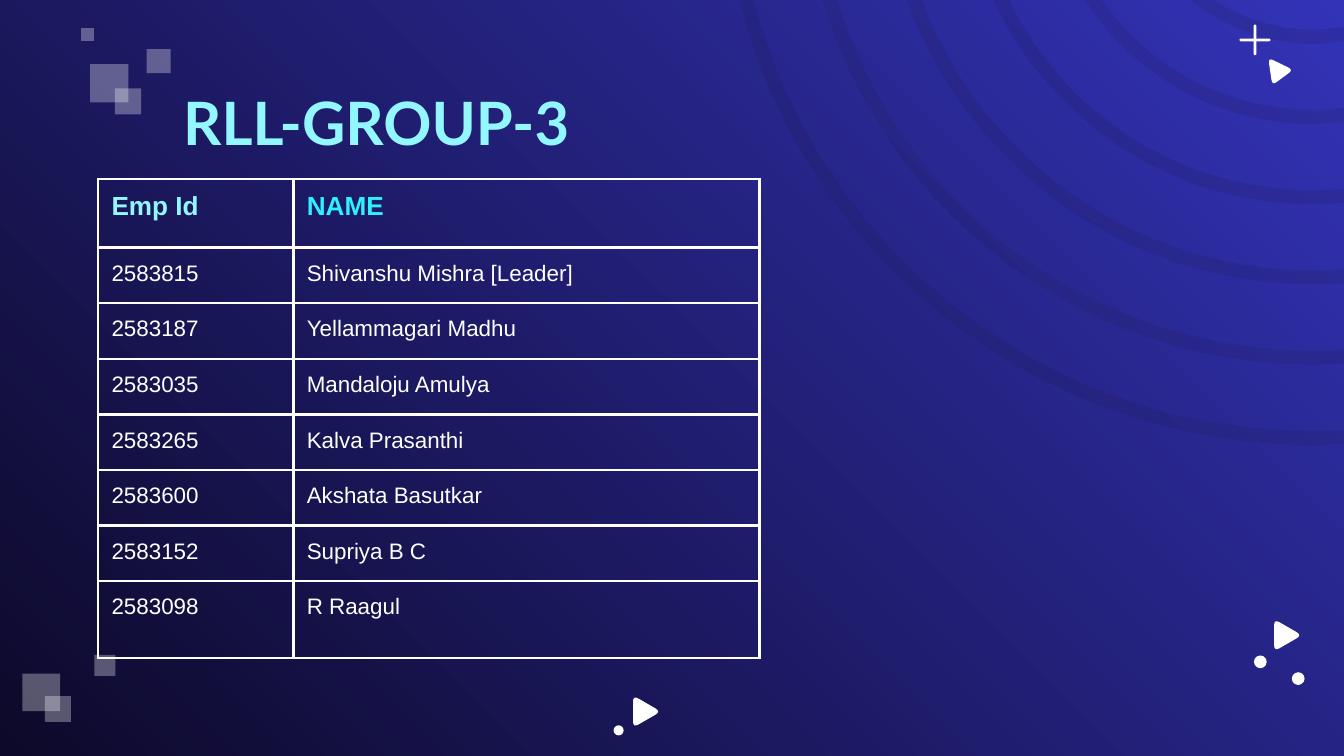
from lxml import etree
from pptx import Presentation
from pptx import util as u
from pptx.dml.color import RGBColor
from pptx.enum import shapes, text
from pptx.oxml.ns import qn

COLUMN = 0.1  # the slide is a grid of 100 columns by 56.25 rows of this many inches
COLORS = {
    "night": "0D092A", "blue": "3333B8", "ring": "201A4A",
    "white": "FFFFFF", "ice": "92F7FF", "cyan": "2EF0FF",
}
MEMBERS = [
    ("2583815", "Shivanshu Mishra [Leader]"),
    ("2583187", "Yellammagari Madhu"),
    ("2583035", "Mandaloju Amulya"),
    ("2583265", "Kalva Prasanthi"),
    ("2583600", "Akshata Basutkar"),
    ("2583152", "Supriya B C"),
    ("2583098", "R Raagul"),
]
COLUMN_WIDTHS = [14.53, 34.7]
ROW_HEIGHTS = [5.12] + [4.14] * 6 + [5.72]
# left, top, side
SQUARES = [
    (6.7, 4.77, 2.85), (8.55, 6.57, 1.95), (10.9, 3.65, 1.8), (6.03, 2.1, 0.95),
    (7.02, 48.73, 1.57), (1.67, 50.12, 2.8), (3.35, 51.8, 1.93),
]
DOTS = [(96.12, 50.02, 0.95), (93.3, 48.77, 0.95), (45.65, 53.97, 0.75)]
PLUS_BARS = [(93.28, 1.83, 0.2, 2.27), (92.23, 2.87, 2.3, 0.2)]
PLAY = [(0, 0), (0, 2.4), (2.08, 1.2)]
TILTED_PLAY = [(0, 0), (0.3, 2.05), (1.85, 0.9)]


def grid(*lengths):
    return [u.Inches(length * COLUMN) for length in lengths]


def rgb(name):
    return RGBColor.from_string(COLORS[name])


def style(target, **values):
    for name, value in values.items():
        setattr(target, name, value)


def paint(shape, color, opacity=None):
    shape.shadow.inherit = False
    shape.line.fill.background()
    shape.fill.solid()
    shape.fill.fore_color.rgb = rgb(color)
    if opacity:
        tint = shape.fill._xPr.find(".//" + qn("a:srgbClr"))
        etree.SubElement(tint, qn("a:alpha"), val=str(opacity * 1000))


def add_preset(page, kind, box, color="white", opacity=None):
    shape = page.shapes.add_shape(kind, *grid(*box))
    paint(shape, color, opacity)
    return shape


def add_rings(page, center=(97.64, -10.9), smallest=14.15, step=5.97, band=1.04):
    for index in reversed(range(6)):
        radius = smallest + step * index
        box = (center[0] - radius, center[1] - radius, 2 * radius, 2 * radius)
        ring = add_preset(page, shapes.MSO_SHAPE.DONUT, box, "ring", 17)
        ring.adjustments[0] = band / (2 * radius)


def rounded(corners, cut=0.2, steps=4):
    """Replace each corner by short segments along a quadratic curve."""
    points = []
    for index, corner in enumerate(corners):
        before, after = corners[index - 1], corners[(index + 1) % len(corners)]
        for step in range(steps + 1):
            t = step / steps
            back, ahead = cut * (1 - t) ** 2, cut * t ** 2
            points.append(tuple(c + back * (b - c) + ahead * (a - c)
                                for b, c, a in zip(before, corner, after)))
    return points


def add_triangle(page, left, top, corners):
    points = [grid(left + x, top + y) for x, y in rounded(corners)]
    builder = page.shapes.build_freeform(*points[0])
    builder.add_line_segments(points[1:], close=True)
    paint(builder.convert_to_shape(), "white")


def write(frame, words, align=text.PP_ALIGN.LEFT, **font):
    para = frame.paragraphs[0]
    para.alignment = align
    span = para.add_run()
    span.text = words
    span.font.color.rgb = rgb(font.pop("color"))
    style(span.font, **font)


def add_title(page):
    box = page.shapes.add_textbox(*grid(7.25, 6.45, 41.5, 5.2))
    style(box.text_frame, word_wrap=True, vertical_anchor=text.MSO_ANCHOR.MIDDLE)
    write(box.text_frame, "RLL-GROUP-3", text.PP_ALIGN.CENTER,
          name="Lato", size=u.Pt(32), bold=True, color="ice")


def add_borders(cell):
    properties = cell._tc.get_or_add_tcPr()
    for index, side in enumerate(("lnL", "lnR", "lnT", "lnB")):
        line = etree.Element(qn("a:" + side), w=str(u.Pt(1.5)))
        fill = etree.SubElement(line, qn("a:solidFill"))
        etree.SubElement(fill, qn("a:srgbClr"), val=COLORS["white"])
        properties.insert(index, line)


def add_member_table(page):
    rows = [("Emp Id", "NAME")] + MEMBERS
    size = grid(7.3, 13.3, sum(COLUMN_WIDTHS), sum(ROW_HEIGHTS))
    table = page.shapes.add_table(len(rows), len(COLUMN_WIDTHS), *size).table
    style(table, first_row=False, horz_banding=False)
    for column, width in zip(table.columns, grid(*COLUMN_WIDTHS)):
        column.width = width
    for row, height in zip(table.rows, grid(*ROW_HEIGHTS)):
        row.height = height
    for r, values in enumerate(rows):
        for c, value in enumerate(values):
            cell = table.cell(r, c)
            cell.fill.background()
            add_borders(cell)
            style(cell, **dict.fromkeys(
                ("margin_left", "margin_right", "margin_top", "margin_bottom"),
                u.Inches(0.1)))
            header = r == 0
            write(cell.text_frame, value, name="Arial", bold=header,
                  size=u.Pt(14 if header else 12),
                  color=("ice", "cyan")[c] if header else "white")


def set_background(page):
    fill = page.background.fill
    fill.gradient()
    fill.gradient_angle = 45
    for stop, color in zip(fill.gradient_stops, ("night", "blue")):
        stop.color.rgb = rgb(color)


def main():
    deck = Presentation()
    deck.slide_width, deck.slide_height = grid(100, 56.25)
    page = deck.slides.add_slide(deck.slide_layouts[6])
    set_background(page)
    add_rings(page)
    for left, top, side in SQUARES:
        add_preset(page, shapes.MSO_SHAPE.RECTANGLE, (left, top, side, side), opacity=31)
    for bar in PLUS_BARS:
        add_preset(page, shapes.MSO_SHAPE.ROUNDED_RECTANGLE, bar).adjustments[0] = 0.5
    for left, top, side in DOTS:
        add_preset(page, shapes.MSO_SHAPE.OVAL, (left, top, side, side))
    add_triangle(page, 94.37, 4.3, TILTED_PLAY)
    add_triangle(page, 94.8, 46.07, PLAY)
    add_triangle(page, 47.1, 51.75, PLAY)
    add_title(page)
    add_member_table(page)
    deck.save("out.pptx")


if __name__ == "__main__":
    main()
